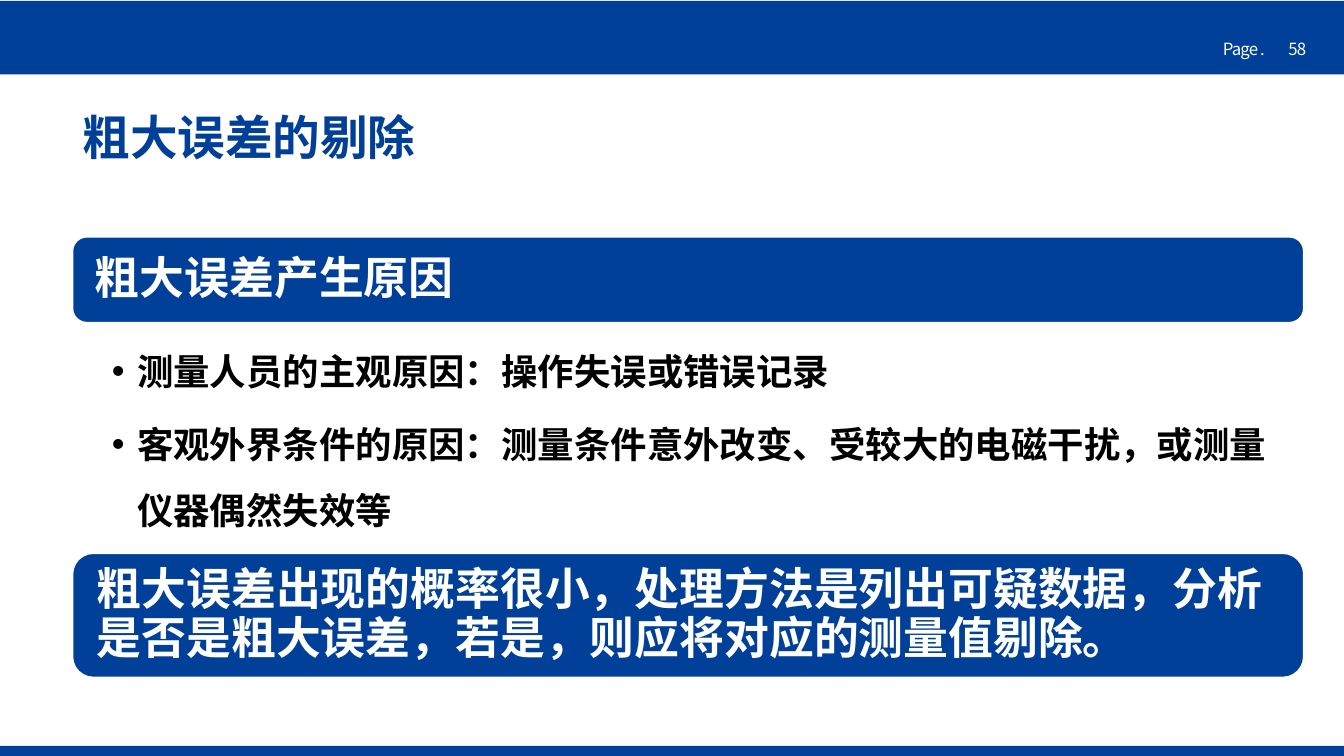
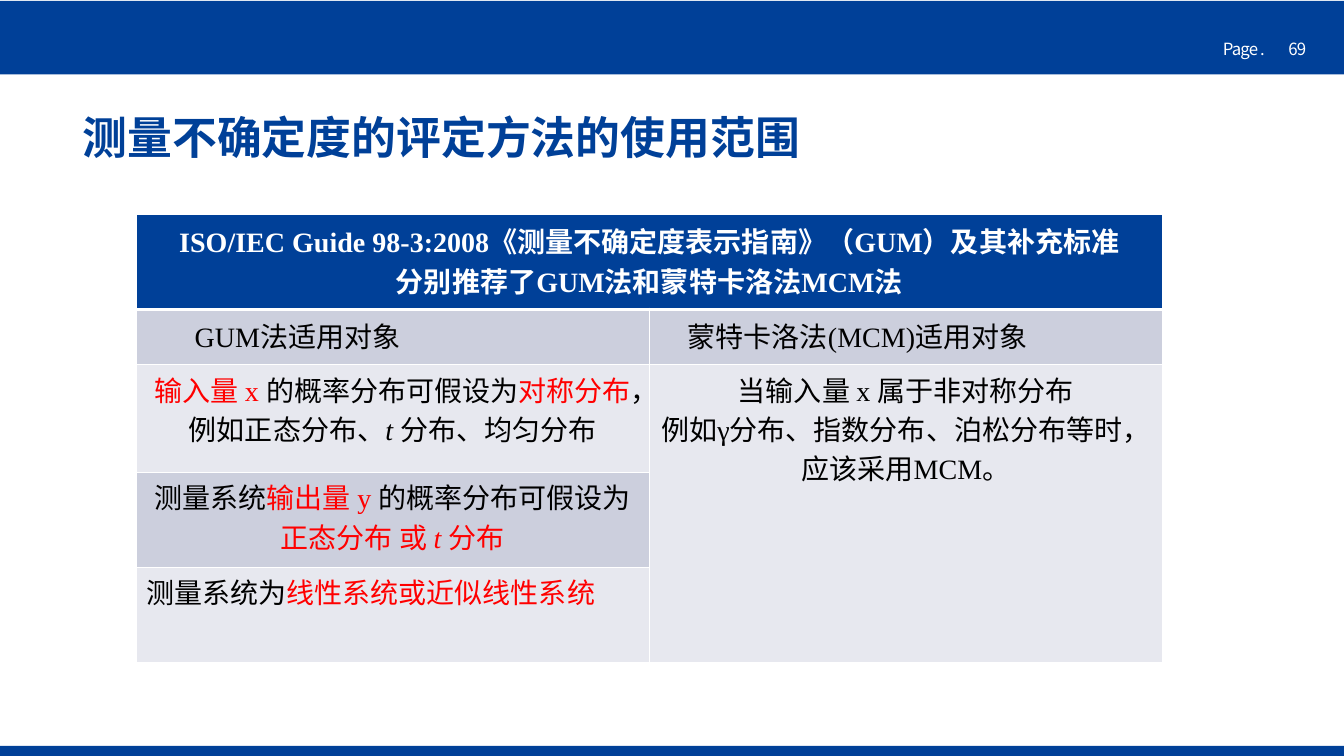
from lxml import etree
from pptx import Presentation
from pptx import util as u
from pptx.dml import color
from pptx.enum import shapes, text
from pptx.oxml import ns

COLORS = {"blue": "004098", "white": "FFFFFF", "black": "000000",
          "red": "FF0000", "band": "CCCFDD", "pale": "E7E8EF"}
SANS, SERIF = "Noto Sans CJK SC", "Times New Roman"
RED, RED_ITALIC, ITALIC = {"color": "red"}, {"color": "red", "italic": True}, {"italic": True}
CENTER, LEFT = text.PP_ALIGN.CENTER, text.PP_ALIGN.LEFT
TITLE_BOX = (0.72, 1.07, 12.21, 0.63)
BANNER = {"name": SERIF, "size": 32, "bold": True, "color": "white"}
CELL = {"name": SERIF, "size": 20, "bold": False, "color": "black"}
LOOSE = {"alignment": CENTER, "line_spacing": u.Pt(28)}


def inches(box):
    return [u.Inches(length) for length in box]


def rgb(name):
    return color.RGBColor.from_string(COLORS[name])


def set_values(target, values):
    for name, value in values.items():
        setattr(target, name, value)


def set_frame(frame, insets, anchor):
    names = ("margin_left", "margin_top", "margin_right", "margin_bottom")
    set_values(frame, dict(zip(names, inches(insets))))
    set_values(frame, {"word_wrap": True, "vertical_anchor": anchor,
                       "auto_size": text.MSO_AUTO_SIZE.NONE})


def place(shape, box):
    set_values(shape, dict(zip(("left", "top", "width", "height"), inches(box))))


def write_para(para, spans, look, layout):
    set_values(para, layout)
    for words, changes in spans:
        style = {**look, **changes}
        span = para.add_run()
        span.text = words
        span.font.color.rgb = rgb(style.pop("color"))
        style["size"] = u.Pt(style["size"])
        spacing = style.pop("spacing", None)
        set_values(span.font, style)
        props = span.font._element
        if spacing is not None:
            props.set("spc", str(spacing))
        etree.SubElement(props, ns.qn("a:ea"), typeface=SANS)


def write_paras(frame, paras, look, layout):
    for index, spans in enumerate(paras):
        para = frame.paragraphs[0] if index == 0 else frame.add_paragraph()
        write_para(para, spans, look, layout)


def add_block(page, box, kind=shapes.MSO_SHAPE.RECTANGLE, outline=None):
    block = page.shapes.add_shape(kind, *inches(box))
    block.shadow.inherit = False
    block.fill.solid()
    block.fill.fore_color.rgb = rgb("blue")
    if outline:
        block.line.color.rgb = rgb(outline)
        block.line.width = u.Pt(1)
    else:
        block.line.fill.background()
    return block


def add_page(deck, layout_index, title, number, title_look):
    page = deck.slides.add_slide(deck.slide_layouts[layout_index])
    add_block(page, (0, 7.4, 13.33, 0.1))
    add_block(page, (0, 0.01, 13.33, 0.73))
    small = {"name": SANS, "size": 12, "color": "white", "spacing": -60}
    for words, left, width in ((number, 12.68, 0.4), ("Page .", 12.03, 0.63)):
        label = page.shapes.add_textbox(*inches((left, 0.34, width, 0.3)))
        label.text_frame.word_wrap = False
        write_paras(label.text_frame, [[(words, {})]], small, {})
    place(page.shapes.title, TITLE_BOX)
    frame = page.shapes.title.text_frame
    set_frame(frame, (0.1, 0.05, 0.1, 0.05), text.MSO_ANCHOR.MIDDLE)
    look = {"bold": True, "color": "blue", **title_look}
    write_paras(frame, [[(title, {})]], look, {"alignment": LEFT, "line_spacing": 0.9})
    return page


def add_banner(page, box, words):
    banner = add_block(page, box, shapes.MSO_SHAPE.ROUNDED_RECTANGLE, "white")
    set_frame(banner.text_frame, (0.18, 0.18, 0.18, 0.18), text.MSO_ANCHOR.MIDDLE)
    layout = {"alignment": LEFT, "line_spacing": 0.9, "space_after": u.Pt(11.2)}
    write_paras(banner.text_frame, [[(words, {})]], BANNER, layout)


def fill_list(body, box, items):
    place(body, box)
    frame = body.text_frame
    set_frame(frame, (0.39, 0.04, 0.2, 0.04), text.MSO_ANCHOR.TOP)
    layout = {"line_spacing": 1.5, "space_before": u.Pt(0), "space_after": u.Pt(5.2)}
    look = {**BANNER, "size": 26, "color": "black"}
    write_paras(frame, [[(item, {})] for item in items], look, layout)
    for para in frame.paragraphs:
        props = para._p.get_or_add_pPr()
        props.set("marL", str(u.Inches(0.25)))
        props.set("indent", str(-u.Inches(0.25)))
        etree.SubElement(props, ns.qn("a:buFont"), typeface="Arial")
        etree.SubElement(props, ns.qn("a:buChar"), char="•")


def set_borders(cell, widths):
    props = cell._tc.get_or_add_tcPr()
    for index, (side, width) in enumerate(widths.items()):
        line = etree.Element(ns.qn("a:ln" + side), w=str(u.Pt(width)))
        fill = etree.SubElement(line, ns.qn("a:solidFill"))
        etree.SubElement(fill, ns.qn("a:srgbClr"), val=COLORS["white"])
        props.insert(index, line)


def add_scope_table(page, box, heights, cells):
    left, top, width, height = box
    table = page.shapes.add_table(len(heights), 2, *inches(box)).table
    set_values(table, {"first_row": False, "horz_banding": False})
    for column in table.columns:
        column.width = u.Inches(width / 2)
    for row, row_height in zip(table.rows, heights):
        row.height = u.Inches(row_height)
    fills = ("blue", "band", "pale", "band", "pale")
    for row, fill in enumerate(fills):
        for column in range(2):
            cell = table.cell(row, column)
            cell.fill.solid()
            cell.fill.fore_color.rgb = rgb("pale" if column and row > 1 else fill)
            set_borders(cell, {"L": 1, "R": 1, "T": 3 if row == 1 else 1,
                               "B": 3 if row == 0 else 1})
    table.cell(0, 0).merge(table.cell(0, 1))
    table.cell(2, 1).merge(table.cell(4, 1))
    for (row, column), (paras, look, layout, margin) in cells.items():
        cell = table.cell(row, column)
        cell.margin_left = u.Inches(margin)
        write_paras(cell.text_frame, paras, {**CELL, **look}, layout)


def build_gross_error(deck):
    page = add_page(deck, 1, "粗大误差的剔除", "58", {"name": SANS, "size": 34})
    left, width = 0.72, 12.21
    add_banner(page, (left, 2.35, width, 0.85), "粗大误差产生原因")
    fill_list(page.placeholders[1], (left, 3.21, width, 2.28), (
        "测量人员的主观原因：操作失误或错误记录",
        "客观外界条件的原因：测量条件意外改变、受较大的电磁干扰，或测量仪器偶然失效等"))
    add_banner(page, (left, 5.49, width, 1.23),
               "粗大误差出现的概率很小，处理方法是列出可疑数据，分析是否是粗大误差，若是，则应将对应的测量值剔除。")


def build_method_scope(deck):
    page = add_page(deck, 5, "测量不确定度的评定方法的使用范围", "69",
                    {"name": SERIF, "size": 32})
    cells = {
        (0, 0): ([[("ISO/IEC Guide 98-3:2008《测量不确定度表示指南》（GUM）及其补充标准", {})],
                  [("分别推荐了GUM法和蒙特卡洛法MCM法", {})]],
                 {"bold": True, "color": "white"}, {"alignment": CENTER}, 0.1),
        (1, 0): ([[("GUM法适用对象", {})]], {}, {"alignment": LEFT}, 0.58),
        (1, 1): ([[("蒙特卡洛法(MCM)适用对象", {})]], {}, {"alignment": LEFT}, 0.38),
        (2, 0): ([[("输入量 x ", RED), ("的概率分布可假设为", {}), ("对称分布", RED),
                   ("，例如正态分布、", {}), ("t ", ITALIC), ("分布、均匀分布", {})]],
                 {}, LOOSE, 0.1),
        (2, 1): ([[("当输入量 x 属于非对称分布", {})],
                  [("例如γ分布、指数分布、泊松分布等时，", {})],
                  [("应该采用MCM。", {})]], {}, LOOSE, 0.1),
        (3, 0): ([[("测量系统", {}), ("输出量 y ", RED), ("的概率分布可假设为", {}),
                   ("正态分布 或 ", RED), ("t ", RED_ITALIC), ("分布", RED)]],
                 {}, LOOSE, 0.1),
        (4, 0): ([[("测量系统为", {}), ("线性系统或近似线性系统", RED)]],
                 {}, {**LOOSE, "alignment": LEFT}, 0.1),
    }
    add_scope_table(page, (1.35, 2.13, 10.18, 4.44), (0.94, 0.55, 1.07, 0.94, 0.94), cells)


def main():
    deck = Presentation()
    deck.slide_width, deck.slide_height = inches((13.33, 7.5))
    build_gross_error(deck)
    build_method_scope(deck)
    deck.save("out.pptx")


if __name__ == "__main__":
    main()
